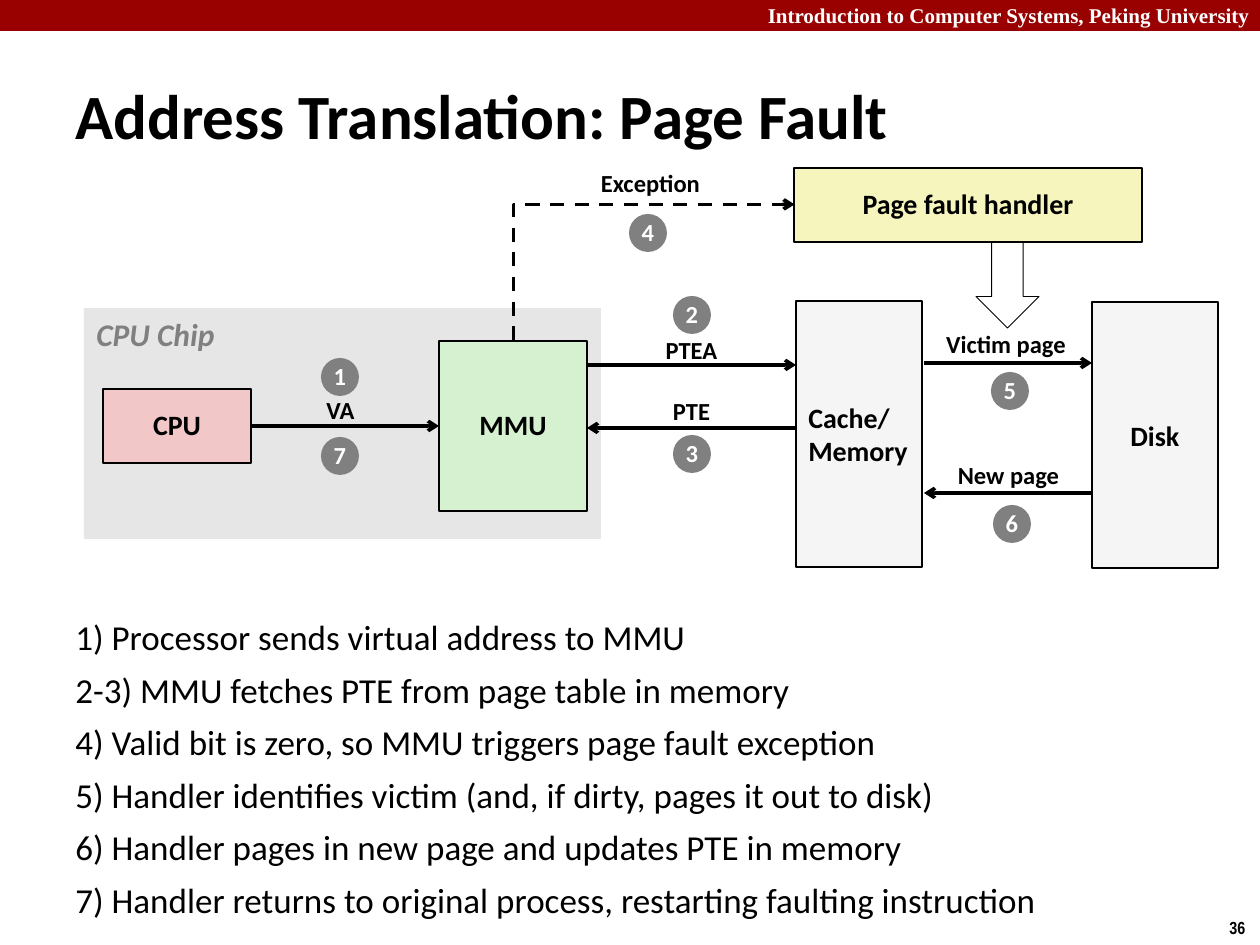
from lxml.etree import SubElement
from pptx import Presentation
from pptx.dml.color import RGBColor
from pptx.enum.shapes import MSO_CONNECTOR as CONNECTOR, MSO_SHAPE as SHAPE
from pptx.enum.text import MSO_ANCHOR as ANCHOR, PP_ALIGN as ALIGN
from pptx.oxml.ns import qn
from pptx.util import Emu, Pt

PX = 914400 / 126
COLORS = {
    "banner": "990000", "chip": "E6E6E6", "mmu": "D5F1CF", "storage": "F5F5F5",
    "cpu": "F1C7C7", "handler": "F6F5BD", "gray": "808080",
    "black": "000000", "white": "FFFFFF",
}
RGB = {name: RGBColor.from_string(value) for name, value in COLORS.items()}
TIGHT = {"line_spacing": 0.98}


def px(*lengths):
    return [Emu(round(length * PX)) for length in lengths]


def write(shape, lines, size, color="black", align=ALIGN.CENTER, wrap=False,
          anchor=ANCHOR.MIDDLE, paragraph_format=None, **font_format):
    frame = shape.text_frame
    frame.word_wrap = wrap
    frame.vertical_anchor = anchor
    frame.text = "\n".join(lines)
    font_values = {"name": "Calibri", "bold": True, "size": Pt(size), **font_format}
    for paragraph in frame.paragraphs:
        paragraph.alignment = align
        for name, value in (paragraph_format or {}).items():
            setattr(paragraph, name, value)
        for name, value in font_values.items():
            setattr(paragraph.font, name, value)
        paragraph.font.color.rgb = RGB[color]


presentation = Presentation()
presentation.slide_width, presentation.slide_height = px(1260, 945)
slide = presentation.slides.add_slide(presentation.slide_layouts[5])
shapes = slide.shapes

title = shapes.title
title.left, title.top, title.width, title.height = px(63, 60, 1197, 108)
write(title, ["Address Translation: Page Fault"], 36, align=ALIGN.LEFT, wrap=True)

blocks = {}
for name, kind, box, fill, line_width, lines, align, spacing in [
    ("banner", SHAPE.RECTANGLE, (0, 0, 1260, 31), "banner", 0, [], None, None),
    ("chip", SHAPE.RECTANGLE, (84, 308, 517, 231), "chip", 0, [], None, None),
    ("mmu", SHAPE.RECTANGLE, (439, 341, 148, 170), "mmu", 1, ["MMU"], ALIGN.CENTER, TIGHT),
    ("memory", SHAPE.RECTANGLE, (796, 301, 126, 266), "storage", 1.5,
     ["Cache/", "Memory"], ALIGN.LEFT, None),
    ("cpu", SHAPE.RECTANGLE, (103, 389, 148, 74), "cpu", 1, ["CPU"], ALIGN.CENTER, TIGHT),
    ("disk", SHAPE.RECTANGLE, (1092, 302, 126, 266), "storage", 1.5,
     ["Disk"], ALIGN.CENTER, None),
    ("handler", SHAPE.RECTANGLE, (794, 168, 348, 74), "handler", 1,
     ["Page fault handler"], ALIGN.CENTER, TIGHT),
    ("paging", SHAPE.DOWN_ARROW, (976, 242, 63, 86), None, 0.5, [], None, None),
]:
    block = shapes.add_shape(kind, *px(*box))
    block.shadow.inherit = False
    if fill:
        block.fill.solid()
        block.fill.fore_color.rgb = RGB[fill]
    else:
        block.fill.background()
    if line_width:
        block.line.color.rgb = RGB["black"]
        block.line.width = Pt(line_width)
    else:
        block.line.fill.background()
    if lines:
        write(block, lines, 16, align=align, paragraph_format=spacing)
    blocks[name] = block

arrows = {}
for name, kind, ends in [
    ("VA", CONNECTOR.STRAIGHT, (251, 426, 439, 426)),
    ("PTEA", CONNECTOR.STRAIGHT, (587, 365, 796, 365)),
    ("PTE", CONNECTOR.STRAIGHT, (796, 428, 587, 428)),
    ("Victim page", CONNECTOR.STRAIGHT, (924, 363, 1092, 363)),
    ("New page", CONNECTOR.STRAIGHT, (1092, 493, 924, 493)),
    ("Exception", CONNECTOR.ELBOW, (722, 413, 586, 132)),
]:
    arrow = shapes.add_connector(kind, *px(*ends))
    arrow.line.color.rgb = RGB["black"]
    arrow.line.width = Pt(2)
    properties = arrow.element.spPr
    outline = properties.find(qn("a:ln"))
    if kind == CONNECTOR.ELBOW:
        properties.find(qn("a:prstGeom")).set("prst", "bentConnector2")
        properties.find(qn("a:xfrm")).set("rot", "5400000")
        SubElement(outline, qn("a:prstDash"), val="dash")
    SubElement(outline, qn("a:tailEnd"), type="arrow")
    SubElement(properties, qn("a:effectLst"))
    arrows[name] = arrow
arrows["VA"].begin_connect(blocks["cpu"], 3)
arrows["VA"].end_connect(blocks["mmu"], 1)

for text, box in [
    ("VA", (314, 390, 53, 42)),
    ("PTEA", (653, 330, 77, 42)),
    ("PTE", (660, 391, 63, 42)),
    ("Victim page", (933, 324, 146, 42)),
    ("New page", (945, 455, 127, 42)),
    ("Exception", (588, 163, 125, 42)),
]:
    write(shapes.add_textbox(*px(*box)), [text], 14, paragraph_format=TIGHT)

BADGE = 38
for number, (left, top) in enumerate([
    (321, 358), (673, 296), (673, 435), (629, 214), (991, 372), (993, 505), (321, 437),
], start=1):
    badge = shapes.add_shape(SHAPE.OVAL, *px(left, top, BADGE, BADGE))
    badge.shadow.inherit = False
    badge.fill.solid()
    badge.fill.fore_color.rgb = RGB["gray"]
    badge.line.fill.background()
    write(badge, [str(number)], 14, "white", paragraph_format=TIGHT)

chip_label = shapes.add_textbox(*px(84, 309, 146, 51))
write(chip_label, ["CPU Chip"], 18, "gray", ALIGN.LEFT, anchor=ANCHOR.TOP, italic=True)

steps = shapes.add_textbox(*px(63, 620, 1103, 284))
write(steps, [
    "1) Processor sends virtual address to MMU",
    "2-3) MMU fetches PTE from page table in memory",
    "4) Valid bit is zero, so MMU triggers page fault exception",
    "5) Handler identifies victim (and, if dirty, pages it out to disk)",
    "6) Handler pages in new page and updates PTE in memory",
    "7) Handler returns to original process, restarting faulting instruction",
], 20, align=ALIGN.LEFT, wrap=True, anchor=ANCHOR.TOP, bold=False,
    paragraph_format={"line_spacing": 0.73, "space_before": Pt(12.5)})
steps.text_frame.paragraphs[0].space_before = Pt(0)

course = shapes.add_textbox(*px(720, 0, 540, 31))
course.text_frame.margin_top = course.text_frame.margin_bottom = 0
course.text_frame.margin_right = px(10)[0]
write(course, ["Introduction to Computer Systems, Peking University"], 12, "white",
      ALIGN.RIGHT, wrap=True, name="Times New Roman")

page_number = shapes.add_textbox(*px(1217, 911, 43, 34))
write(page_number, ["36"], 10, align=ALIGN.LEFT, anchor=ANCHOR.TOP, name="Arial Narrow")

presentation.save("out.pptx")
